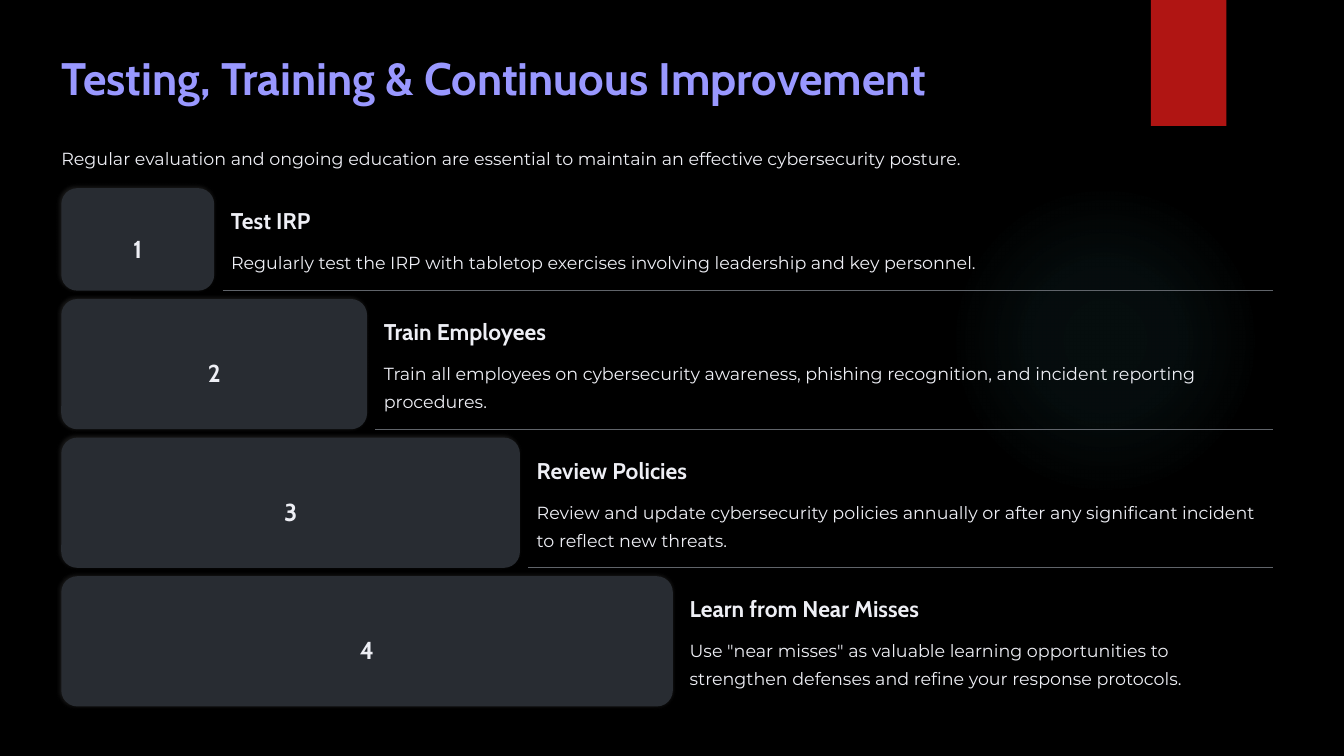
from dataclasses import dataclass

from lxml.etree import SubElement
from pptx import Presentation
from pptx.dml.color import RGBColor
from pptx.enum.shapes import MSO_CONNECTOR, MSO_SHAPE
from pptx.enum.text import MSO_ANCHOR, PP_ALIGN
from pptx.oxml import parse_xml
from pptx.oxml.ns import nsdecls, qn
from pptx.shapes.autoshape import Shape
from pptx.slide import Slide
from pptx.util import Inches, Pt


@dataclass(frozen=True)
class TextStyle:
    font: str
    size: float
    color: str
    line_spacing: float
    bold: bool = False
    align: PP_ALIGN = PP_ALIGN.LEFT


@dataclass(frozen=True)
class Shadow:
    color: str
    opacity: int
    blur: float
    distance: float
    angle: int


@dataclass(frozen=True)
class Theme:
    background: str = "000000"
    glow: str = "50B9C1"
    ribbon: str = "B01513"
    panel: str = "282C32"
    rule: str = "60646A"
    title: TextStyle = TextStyle("Cabin", 39, "9998FF", 49, True)
    heading: TextStyle = TextStyle("Cabin", 19.5, "EEEFF5", 24.5, True)
    number: TextStyle = TextStyle("Cabin", 21, "EEEFF5", 33.5, True, PP_ALIGN.CENTER)
    body: TextStyle = TextStyle("Montserrat", 15, "EEEFF5", 24)
    ribbon_shadow: Shadow = Shadow("000000", 45, 3, 2, 90)
    panel_shadow: Shadow = Shadow("FFFFFF", 10, 3.7, 1.8, 225)


@dataclass(frozen=True)
class Step:
    heading: str
    body: str
    height: float = 1.55


THEME = Theme()
LEFT = 0.73
RULE_RIGHT = 15.16
TEXT_RIGHT = 15.06
FIRST_TOP = 2.24
STEP_WIDTH = 1.82
STEP_GAP = 0.1
CORNER_RADIUS = 0.19
NUMBER_WIDTH, NUMBER_HEIGHT = 0.29, 0.37

STEPS = (
    Step("Test IRP", "Regularly test the IRP with tabletop exercises involving "
         "leadership and key personnel.", 1.22),
    Step("Train Employees", "Train all employees on cybersecurity awareness, phishing "
         "recognition, and incident reporting procedures."),
    Step("Review Policies", "Review and update cybersecurity policies annually or after "
         "any significant incident to reflect new threats."),
    Step("Learn from Near Misses", 'Use "near misses" as valuable learning opportunities '
         "to strengthen defenses and refine your response protocols."),
)


def add_text(slide: Slide, text: str, style: TextStyle,
             left: float, top: float, width: float, height: float) -> None:
    box = slide.shapes.add_textbox(Inches(left), Inches(top), Inches(width), Inches(height))
    frame = box.text_frame
    frame.word_wrap = True
    frame.vertical_anchor = MSO_ANCHOR.TOP
    frame.margin_left = frame.margin_top = frame.margin_right = frame.margin_bottom = 0
    paragraph = frame.paragraphs[0]
    paragraph.alignment = style.align
    paragraph.line_spacing = Pt(style.line_spacing)
    run = paragraph.add_run()
    run.text = text
    run.font.name = style.font
    run.font.size = Pt(style.size)
    run.font.bold = style.bold
    run.font.color.rgb = RGBColor.from_string(style.color)


def add_block(slide: Slide, kind: MSO_SHAPE, color: str,
              left: float, top: float, width: float, height: float) -> Shape:
    shape = slide.shapes.add_shape(
        kind, Inches(left), Inches(top), Inches(width), Inches(height))
    shape.fill.solid()
    shape.fill.fore_color.rgb = RGBColor.from_string(color)
    shape.line.fill.background()
    shape.shadow.inherit = False
    return shape


def cast_shadow(shape: Shape, shadow: Shadow) -> None:
    effects = shape._element.spPr.find(qn("a:effectLst"))
    outer = SubElement(effects, qn("a:outerShdw"), blurRad=str(Pt(shadow.blur)),
                       dist=str(Pt(shadow.distance)), dir=str(shadow.angle * 60000),
                       algn="ctr", rotWithShape="0")
    color = SubElement(outer, qn("a:srgbClr"), val=shadow.color)
    SubElement(color, qn("a:alpha"), val=str(shadow.opacity * 1000))


def add_glow(slide: Slide) -> None:
    """Draw a circle whose tint fades out from its centre."""
    glow = add_block(slide, MSO_SHAPE.OVAL, THEME.glow, 11.3, 2.2, 3.7, 3.7)
    stops = "".join(
        f'<a:gs pos="{position * 1000}"><a:srgbClr val="{THEME.glow}">'
        f'<a:alpha val="{opacity * 1000}"/></a:srgbClr></a:gs>'
        for position, opacity in ((0, 7), (36, 6), (69, 0)))
    gradient = parse_xml(
        f'<a:gradFill {nsdecls("a")} rotWithShape="1"><a:gsLst>{stops}</a:gsLst>'
        '<a:path path="circle"><a:fillToRect l="50000" t="50000" r="50000" b="50000"/>'
        "</a:path></a:gradFill>")
    properties = glow._element.spPr
    properties.replace(properties.find(qn("a:solidFill")), gradient)


def add_rule(slide: Slide, left: float, y: float) -> None:
    rule = slide.shapes.add_connector(
        MSO_CONNECTOR.STRAIGHT, Inches(left), Inches(y), Inches(RULE_RIGHT), Inches(y))
    rule.line.color.rgb = RGBColor.from_string(THEME.rule)
    rule.line.width = Pt(0.75)
    SubElement(rule._element.spPr, qn("a:effectLst"))


def add_step(slide: Slide, number: int, step: Step, top: float) -> None:
    width = number * STEP_WIDTH
    panel = add_block(slide, MSO_SHAPE.ROUNDED_RECTANGLE, THEME.panel,
                      LEFT, top, width, step.height)
    panel.adjustments[0] = CORNER_RADIUS / step.height
    cast_shadow(panel, THEME.panel_shadow)
    add_text(slide, str(number), THEME.number, LEFT + (width - NUMBER_WIDTH) / 2,
             top + (step.height - NUMBER_HEIGHT) / 2, NUMBER_WIDTH, NUMBER_HEIGHT)
    text_left = LEFT + width + 0.2
    add_text(slide, step.heading, THEME.heading, text_left, top + 0.21, 2.86, 0.34)
    add_text(slide, step.body, THEME.body, text_left, top + 0.68,
             TEXT_RIGHT - text_left, step.height - 0.88)
    if number < len(STEPS):
        add_rule(slide, LEFT + width + 0.1, top + step.height)


def main() -> None:
    presentation = Presentation()
    presentation.slide_width = Inches(16)
    presentation.slide_height = Inches(9)
    slide = presentation.slides.add_slide(presentation.slide_layouts[6])
    slide.background.fill.solid()
    slide.background.fill.fore_color.rgb = RGBColor.from_string(THEME.background)

    add_glow(slide)
    ribbon = add_block(slide, MSO_SHAPE.RECTANGLE, THEME.ribbon, 13.7, 0, 0.9, 1.5)
    cast_shadow(ribbon, THEME.ribbon_shadow)
    add_text(slide, "Testing, Training & Continuous Improvement", THEME.title,
             LEFT, 0.57, 10.74, 0.69)
    add_text(slide, "Regular evaluation and ongoing education are essential to maintain "
             "an effective cybersecurity posture.", THEME.body, LEFT, 1.68, 14.54, 0.33)

    top = FIRST_TOP
    for number, step in enumerate(STEPS, start=1):
        add_step(slide, number, step, top)
        top += step.height + STEP_GAP

    presentation.save("out.pptx")


if __name__ == "__main__":
    main()
